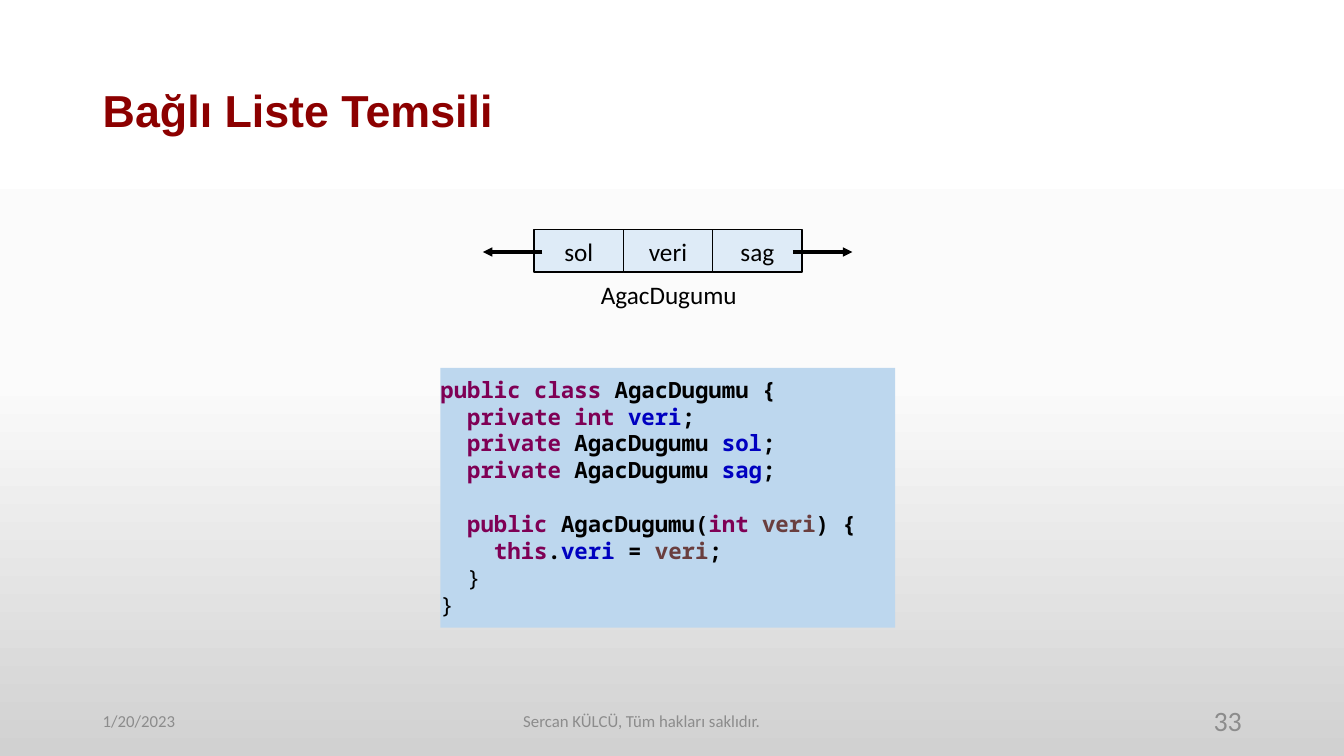
from copy import deepcopy

from pptx import Presentation
from pptx.dml.color import RGBColor
from pptx.enum.shapes import MSO_CONNECTOR, MSO_SHAPE
from pptx.enum.text import MSO_ANCHOR as ANCHOR, PP_ALIGN as ALIGN
from pptx.oxml.ns import qn
from pptx.oxml.xmlchemy import OxmlElement
from pptx.util import Cm, Pt

BLACK = RGBColor(0x00, 0x00, 0x00)
DARK_RED = RGBColor(0x8C, 0x00, 0x00)
GRAY = RGBColor(0x8C, 0x8C, 0x8C)
CELL_BLUE = RGBColor(0xDE, 0xEB, 0xF7)
CODE_BLUE = RGBColor(0xBD, 0xD7, 0xEE)
KEYWORD = RGBColor(0x7F, 0x00, 0x55)
FIELD = RGBColor(0x00, 0x00, 0xC0)
PARAM = RGBColor(0x6A, 0x3E, 0x3E)
BACKGROUND = [
    (0, RGBColor(0xFF, 0xFF, 0xFF)),
    (0.5, RGBColor(0xFB, 0xFB, 0xFB)),
    (1, RGBColor(0xD1, 0xD1, 0xD1)),
]


def style_run(r, size, color, font="Calibri", bold=False):
    r.font.name = font
    r.font.size = Pt(size)
    r.font.bold = bold
    r.font.color.rgb = color


def write(sp, text, size, color, align=ALIGN.LEFT, anchor=ANCHOR.MIDDLE,
          font="Calibri", bold=False):
    tf = sp.text_frame
    tf.text = text
    tf.word_wrap = True
    tf.vertical_anchor = anchor
    p = tf.paragraphs[0]
    p.alignment = align
    style_run(p.runs[0], size, color, font, bold)
    return tf


prs = Presentation()
prs.slide_width, prs.slide_height = Cm(33.87), Cm(19.05)
s = prs.slides.add_slide(prs.slide_layouts[6])

# Background gradient, top to bottom
fill = s.background.fill
fill.gradient()
fill.gradient_angle = 270
stop_list = s.element.find(".//" + qn("a:gsLst"))
stop_list.append(deepcopy(stop_list[0]))
for stop, (position, color) in zip(fill.gradient_stops, BACKGROUND):
    stop.position = position
    stop.color.rgb = color

# Title
sp = s.shapes.add_textbox(Cm(2.34), Cm(1.02), Cm(29.21), Cm(3.68))
tf = write(sp, "Bağlı Liste Temsili", 32, DARK_RED, font="Arial", bold=True)
tf.paragraphs[0].line_spacing = 0.9

# Footer: date, owner, slide number
for left, width, text, size, align in [
    (2.34, 7.62, "1/20/2023", 12, ALIGN.LEFT),
    (6.55, 19.25, "Sercan KÜLCÜ, Tüm hakları saklıdır.", 12, ALIGN.CENTER),
    (23.93, 7.62, "33", 20, ALIGN.RIGHT),
]:
    sp = s.shapes.add_textbox(Cm(left), Cm(17.65), Cm(width), Cm(1.02))
    write(sp, text, size, GRAY, align)

# Node cells
for i, name in enumerate(["sol", "veri", "sag"]):
    sp = s.shapes.add_shape(MSO_SHAPE.RECTANGLE, Cm(13.46 + 2.25 * i), Cm(5.79),
                            Cm(2.25), Cm(1.07))
    sp.shadow.inherit = False
    sp.fill.solid()
    sp.fill.fore_color.rgb = CELL_BLUE
    sp.line.color.rgb = BLACK
    sp.line.width = Pt(1)
    write(sp, name, 18, BLACK, ALIGN.CENTER)

# Arrows to the left and right children
for start, end in [(13.67, 12.17), (19.98, 21.48)]:
    arrow = s.shapes.add_connector(MSO_CONNECTOR.STRAIGHT, Cm(start), Cm(6.35),
                                   Cm(end), Cm(6.35))
    arrow.line.color.rgb = BLACK
    arrow.line.width = Pt(2.25)
    head = OxmlElement("a:tailEnd")
    head.set("type", "triangle")
    arrow.line._get_or_add_ln().append(head)
    arrow._element.spPr.append(OxmlElement("a:effectLst"))

# Node caption
sp = s.shapes.add_textbox(Cm(14.86), Cm(6.91), Cm(3.99), Cm(1.02))
tf = write(sp, "AgacDugumu", 18, BLACK, ALIGN.CENTER, ANCHOR.TOP)
tf.word_wrap = False

# Code panel
code = [
    [("public class ", KEYWORD), ("AgacDugumu {", BLACK)],
    [("  private int ", KEYWORD), ("veri", FIELD), (";", BLACK)],
    [("  private ", KEYWORD), ("AgacDugumu ", BLACK), ("sol", FIELD), (";", BLACK)],
    [("  private ", KEYWORD), ("AgacDugumu ", BLACK), ("sag", FIELD), (";", BLACK)],
    [("  public ", KEYWORD), ("AgacDugumu(", BLACK), ("int ", KEYWORD),
     ("veri", PARAM), (") {", BLACK)],
    [("    this", KEYWORD), (".", BLACK), ("veri ", FIELD), ("= ", BLACK),
     ("veri", PARAM), (";", BLACK)],
    [("  }", BLACK)],
    [("}", BLACK)],
]
CONSTRUCTOR = 4
sp = s.shapes.add_shape(MSO_SHAPE.RECTANGLE, Cm(11.1), Cm(9.27), Cm(11.46), Cm(6.55))
sp.shadow.inherit = False
sp.fill.solid()
sp.fill.fore_color.rgb = CODE_BLUE
sp.line.fill.background()
tf = sp.text_frame
tf.word_wrap = True
tf.vertical_anchor = ANCHOR.TOP
tf.margin_left = tf.margin_right = 0
tf.margin_top = tf.margin_bottom = Cm(0.2)
for i, line in enumerate(code):
    p = tf.paragraphs[0] if i == 0 else tf.add_paragraph()
    p.alignment = ALIGN.LEFT
    if i == CONSTRUCTOR:
        p.space_before = Pt(19.3)
    for text, color in line:
        r = p.add_run()
        r.text = text
        style_run(r, 16, color, "Noto Sans Mono", bold=len(line) > 1)

prs.save("out.pptx")
